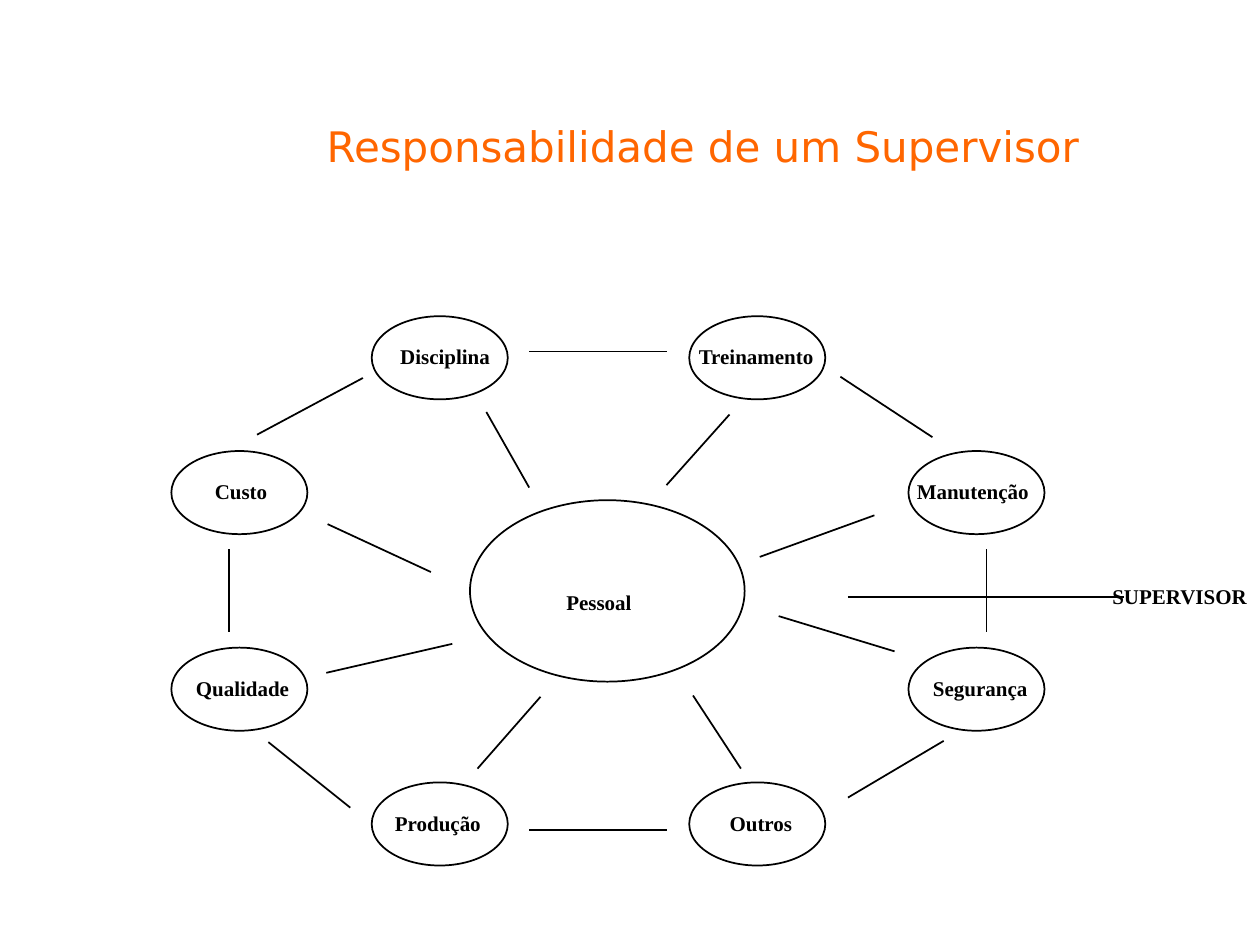
from pptx import Presentation
from pptx.dml.color import RGBColor
from pptx.enum.shapes import MSO_CONNECTOR, MSO_SHAPE
from pptx.enum.text import MSO_ANCHOR, MSO_AUTO_SIZE, PP_ALIGN
from pptx.oxml.ns import qn
from pptx.util import Inches, Pt
from lxml.etree import SubElement

ORANGE = RGBColor(0xFF, 0x66, 0x00)
BLACK = RGBColor(0x00, 0x00, 0x00)
COLUMNS, ROWS = 100, 75
NODE_WIDTH, NODE_HEIGHT = 10.8, 6.6
LABEL_HEIGHT, LABEL_DROP = 3, 1.7


class SlideBuilder:
    """Style and current slide; lengths are columns and rows of the grid."""
    title_font, label_font = "DejaVu Sans", "Times New Roman"
    title_size, label_size, line_width = Pt(24), Pt(12), Pt(1)

    def __init__(self, deck):
        self.page = deck.slides.add_slide(deck.slide_layouts[5])
        self.column = deck.slide_width / COLUMNS
        self.row = deck.slide_height / ROWS
        self.diagram = self.page.shapes.add_group_shape().shapes

    def grid(self, *lengths):
        units = (self.column, self.row) * 2
        return [round(length * unit) for length, unit in zip(lengths, units)]

    def add_span(self, para, text, name, size, color, bold):
        span = para.add_run()
        span.text = text
        span.font.name, span.font.size, span.font.bold = name, size, bold
        span.font.color.rgb = color

    def title(self, text, *area):
        box = self.page.shapes.title
        box.left, box.top, box.width, box.height = self.grid(*area)
        box.text_frame.vertical_anchor = MSO_ANCHOR.BOTTOM
        para = box.text_frame.paragraphs[0]
        para.alignment = PP_ALIGN.CENTER
        self.add_span(para, text, self.title_font, self.title_size, ORANGE, False)

    def ellipse(self, *area):
        shape = self.diagram.add_shape(MSO_SHAPE.OVAL, *self.grid(*area))
        shape.shadow.inherit = False
        shape.fill.background()
        shape.line.color.rgb = BLACK
        shape.line.width = self.line_width

    def line(self, *ends):
        connector = self.diagram.add_connector(MSO_CONNECTOR.STRAIGHT, *self.grid(*ends))
        connector.line.color.rgb = BLACK
        connector.line.width = self.line_width
        SubElement(connector._element.spPr, qn("a:effectLst"))

    def label(self, shapes, text, left, top, width, indent=0, wrap=True):
        box = shapes.add_textbox(*self.grid(left, top, width, LABEL_HEIGHT))
        frame = box.text_frame
        frame.word_wrap = wrap
        frame.auto_size = MSO_AUTO_SIZE.SHAPE_TO_FIT_TEXT
        frame.margin_left = Inches(0.1) + Pt(indent)
        self.add_span(frame.paragraphs[0], text, self.label_font, self.label_size, BLACK, True)


# Node left and top; label left, width and indent in points
NODES = {
    "Disciplina": (29.5, 25.1, 29.1, 15.1, 12),
    "Treinamento": (54.7, 25.1, 52.8, 21.7, 12),
    "Manutenção": (72.1, 35.8, 70.1, 16.7, 12),
    "Segurança": (72.1, 51.4, 71.8, 13.4, 9),
    "Outros": (54.7, 62.1, 54.4, 11.8, 18),
    "Produção": (29.5, 62.1, 29.1, 13.4, 9),
    "Qualidade": (13.6, 51.4, 13.3, 13.4, 9),
    "Custo": (13.6, 35.8, 14.8, 11.8, 9),
}

# Lines between the centre and the nodes, clockwise from Disciplina
SPOKES = [
    (38.6, 32.7, 42, 38.7), (57.9, 32.9, 52.9, 38.5),
    (69.4, 40.9, 60.3, 44.2), (61.8, 48.9, 71, 51.7),
    (55, 55.2, 58.8, 61), (42.9, 55.3, 37.9, 61),
    (35.9, 51.1, 25.9, 53.4), (26, 41.6, 34.2, 45.4),
]

# Lines from node to node, clockwise from Disciplina
RING = [
    (42, 27.9, 52.9, 27.9), (66.7, 29.9, 74, 34.7),
    (78.3, 43.6, 78.3, 50.2), (74.9, 58.8, 67.3, 63.3),
    (42, 65.9, 52.9, 65.9), (21.3, 58.9, 27.8, 64.1),
    (18.2, 43.6, 18.2, 50.2), (28.8, 30, 20.4, 34.5),
]
SUPERVISOR_LINE = (67.3, 47.4, 89.2, 47.4)


def main():
    deck = Presentation()
    deck.slide_width, deck.slide_height = Inches(10), Inches(7.5)
    slide = SlideBuilder(deck)
    slide.title("Responsabilidade de um Supervisor", 13.3, 5.8, 85, 8.3)

    # Centre and surrounding nodes
    slide.ellipse(37.3, 39.7, 21.8, 14.4)
    for left, top, *_ in NODES.values():
        slide.ellipse(left, top, NODE_WIDTH, NODE_HEIGHT)

    # Connecting lines
    for ends in SPOKES + RING + [SUPERVISOR_LINE]:
        slide.line(*ends)

    # Labels
    slide.label(slide.diagram, "Pessoal", 40.2, 46.3, 18.4, 27)
    for text, (_, top, left, width, indent) in NODES.items():
        slide.label(slide.diagram, text, left, top + LABEL_DROP, width, indent)
    slide.label(slide.page.shapes, "SUPERVISOR", 87.3, 45.8, 12.7, wrap=False)

    deck.save("out.pptx")


if __name__ == "__main__":
    main()
